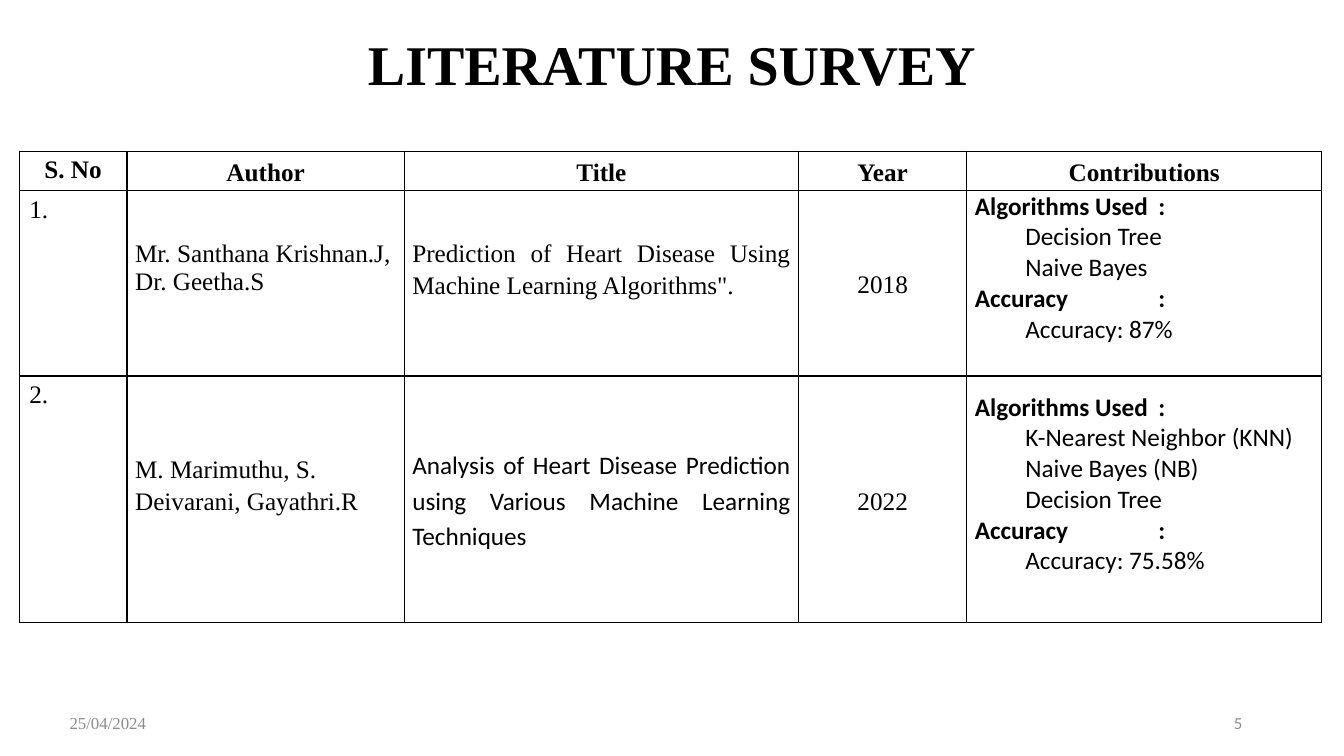
import pptx
import pptx.util
import pptx.dml.color
import pptx.enum.text
import pptx.oxml
import pptx.oxml.ns
import lxml.etree

Inches = pptx.util.Inches
Pt = pptx.util.Pt
Align = pptx.enum.text.PP_ALIGN
Anchor = pptx.enum.text.MSO_ANCHOR
BLACK = pptx.dml.color.RGBColor(0x00, 0x00, 0x00)
GRAY = pptx.dml.color.RGBColor(0x8C, 0x8C, 0x8C)
SERIF = "Times New Roman"
SANS = "Calibri"

COLS = [1.07, 2.75, 3.91, 1.67, 3.52]
ROWS = [0.39, 1.84, 2.45, 1.31]
HEADS = ["S. No", "Author", "Title", "Year", "Contributions"]
PAPERS = [
    {
        "author": ("Mr. Santhana Krishnan.J, Dr. Geetha.S", 1.0),
        "title": ('Prediction of Heart Disease Using Machine Learning Algorithms".', SERIF, 0.3),
        "year": "2018",
        "methods": ["Decision Tree", "Naive Bayes"],
        "score": "87%",
    },
    {
        "author": ("M. Marimuthu, S. Deivarani, Gayathri.R", 1.15),
        "title": ("Analysis of Heart Disease Prediction using Various Machine Learning Techniques", SANS, 0),
        "year": "2022",
        "methods": ["K-Nearest Neighbor (KNN)", "Naive Bayes (NB)", "Decision Tree"],
        "score": "75.58%",
    },
]


def style(para, size, font=SERIF, color=BLACK, bold=False, align=Align.LEFT, space=1.0):
    """Format a paragraph and its runs."""
    para.alignment = align
    para.line_spacing = space
    for run in para.runs:
        run.font.size = Pt(size)
        run.font.name = font
        run.font.bold = bold
        run.font.color.rgb = color


def border(cell, sides):
    """Draw the named sides of a cell in black and clear the others."""
    props = cell._tc.get_or_add_tcPr()
    for side in "LRTB":
        line = lxml.etree.SubElement(props, pptx.oxml.ns.qn("a:ln" + side), w=str(Pt(1)))
        if side in sides:
            fill = lxml.etree.SubElement(line, pptx.oxml.ns.qn("a:solidFill"))
            lxml.etree.SubElement(fill, pptx.oxml.ns.qn("a:srgbClr"), val=str(BLACK))
        else:
            lxml.etree.SubElement(line, pptx.oxml.ns.qn("a:noFill"))
    cell.fill.background()


def inset(cell, low=0):
    """Centre a cell's text vertically, raised by a lower margin."""
    cell.vertical_anchor = Anchor.MIDDLE
    cell.margin_left = cell.margin_right = Inches(0.08)
    cell.margin_top = 0
    cell.margin_bottom = Inches(low)


def write(cell, text, **look):
    """Put one formatted paragraph in a cell."""
    cell.text_frame.text = text
    style(cell.text_frame.paragraphs[0], 18, **look)


def results(cell, paper):
    """List a paper's algorithms and accuracy in a cell."""
    lines = [("Algorithms Used\t:", True)]
    lines += [(name, False) for name in paper["methods"]]
    lines += [("Accuracy\t:", True), ("Accuracy: " + paper["score"], False)]
    frame = cell.text_frame
    for i, (text, head) in enumerate(lines):
        para = frame.paragraphs[0] if i == 0 else frame.add_paragraph()
        para.text = text
        style(para, 18, font=SANS, bold=head)
        props = para._p.get_or_add_pPr()
        if head:
            tabs = lxml.etree.SubElement(props, pptx.oxml.ns.qn("a:tabLst"))
            lxml.etree.SubElement(tabs, pptx.oxml.ns.qn("a:tab"), pos=str(Inches(1.82)), algn="l")
        else:
            props.set("marL", str(Inches(0.5)))
            props.set("indent", "0")
    inset(cell, 0.3)


def entry(cells, num, paper):
    """Fill one table row with a paper."""
    write(cells[0], f"{num}.", align=Align.JUSTIFY)
    author, space = paper["author"]
    write(cells[1], author, space=space)
    inset(cells[1], 0.3)
    title, font, low = paper["title"]
    write(cells[2], title, font=font, align=Align.JUSTIFY, space=1.15)
    inset(cells[2], low)
    write(cells[3], paper["year"], align=Align.CENTER, space=1.15)
    inset(cells[3])
    results(cells[4], paper)


def survey(slide, left, top, width, height):
    """Build the table of papers in the given box."""
    frame = slide.shapes.add_table(
        len(ROWS), len(COLS), Inches(left), Inches(top), Inches(width), Inches(height))
    table = frame.table
    table.first_row = table.horz_banding = False
    for col, size in zip(table.columns, COLS):
        col.width = Inches(size)
    for row, size in zip(table.rows, ROWS):
        row.height = Inches(size)
    last = len(ROWS) - 1
    for r, row in enumerate(table.rows):
        for cell in row.cells:
            border(cell, "T" if r == last else "LRTB")
    for c, text in enumerate(HEADS):
        cell = table.cell(0, c)
        write(cell, text, bold=True, align=Align.CENTER, space=1.15 if c else 1.0)
        if c:
            inset(cell)
    for num, paper in enumerate(PAPERS, 1):
        entry(list(table.rows[num].cells), num, paper)
    table.cell(last, 0).merge(table.cell(last, len(COLS) - 1))


def heading(slide, left, top, width, height):
    """Place the slide title in the given box."""
    title = slide.shapes.title
    title.left, title.top = Inches(left), Inches(top)
    title.width, title.height = Inches(width), Inches(height)
    frame = title.text_frame
    frame.text = "LITERATURE SURVEY"
    frame.vertical_anchor = Anchor.MIDDLE
    style(frame.paragraphs[0], 40, bold=True, align=Align.CENTER, space=0.9)


def footer(slide, text, font, align, left, top, width, height):
    """Place a gray footer text in the given box."""
    box = slide.shapes.add_textbox(Inches(left), Inches(top), Inches(width), Inches(height))
    frame = box.text_frame
    frame.word_wrap = True
    frame.vertical_anchor = Anchor.MIDDLE
    frame.text = text
    style(frame.paragraphs[0], 12, font=font, color=GRAY, align=align)


def main():
    """Build and save the slide."""
    deck = pptx.Presentation()
    deck.slide_width, deck.slide_height = Inches(13.33), Inches(7.5)
    slide = deck.slides.add_slide(deck.slide_layouts[5])
    heading(slide, 0, 0.01, 13.33, 1.32)
    survey(slide, 0.19, 1.5, sum(COLS), sum(ROWS))
    footer(slide, "5", SANS, Align.RIGHT, 9.42, 6.97, 3, 0.4)
    footer(slide, "25/04/2024", SERIF, Align.CENTER, -1.18, 6.97, 4.5, 0.4)
    deck.save("out.pptx")


if __name__ == "__main__":
    main()
